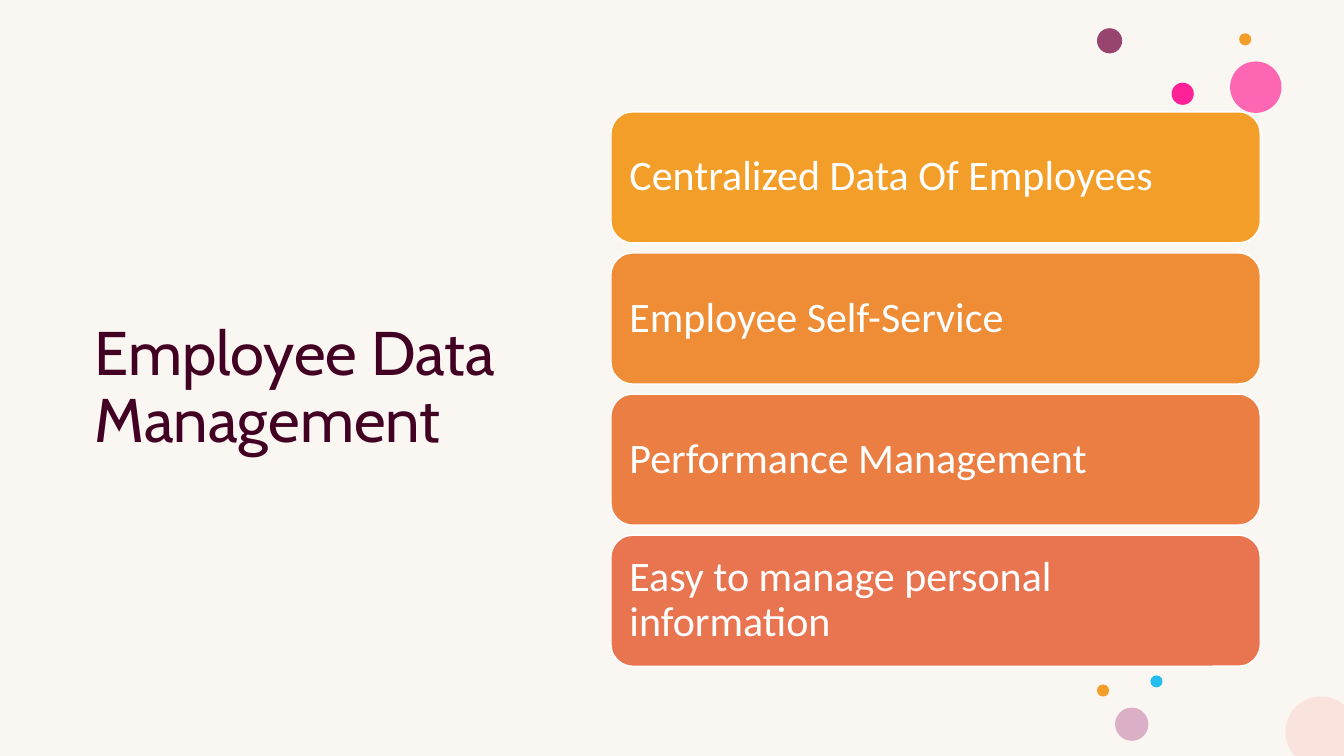
import math
from dataclasses import dataclass

import pptx
import pptx.dml.color
import pptx.enum.shapes
import pptx.enum.text
import pptx.oxml
import pptx.oxml.ns
import pptx.util
from pptx.util import Inches

SLIDE_WIDTH, SLIDE_HEIGHT = 13.33, 7.5
BAR_LEFT, BAR_TOP, BAR_WIDTH, BAR_HEIGHT, BAR_PITCH = 6.06, 1.11, 6.44, 1.3, 1.4


@dataclass(frozen=True)
class Dot:
    left: float
    top: float
    diameter: float
    color: str
    opacity: int = 100


@dataclass(frozen=True)
class Benefit:
    label: str
    color: str


DOTS = [
    Dot(10.88, 0.28, 0.25, "97446E"),
    Dot(12.2, 0.61, 0.51, "FF2F9C", 72),
    Dot(12.29, 0.33, 0.12, "F39E29"),
    Dot(11.62, 0.82, 0.22, "FF2197"),
    Dot(11.41, 6.7, 0.12, "24BEEE"),
    Dot(11.06, 7.02, 0.33, "DBAFC5"),
    Dot(10.88, 6.79, 0.12, "F39E29"),
]

BENEFITS = [
    Benefit("Centralized Data Of Employees", "F39E29"),
    Benefit("Employee Self-Service", "EF8C36"),
    Benefit("Performance Management", "EB7E43"),
    Benefit("Easy to manage personal information", "E87450"),
]


def paint(fill, color: str) -> None:
    fill.solid()
    fill.fore_color.rgb = pptx.dml.color.RGBColor.from_string(color)


def write(frame, text: str, font_name: str, size: float, color: str) -> None:
    frame.word_wrap = True
    frame.vertical_anchor = pptx.enum.text.MSO_ANCHOR.MIDDLE
    paragraph = frame.paragraphs[0]
    paragraph.text = text
    paragraph.alignment = pptx.enum.text.PP_ALIGN.LEFT
    paragraph.line_spacing = 0.9
    paragraph.font.name = font_name
    paragraph.font.size = pptx.util.Pt(size)
    paint(paragraph.font.fill, color)


def draw_title(slide) -> None:
    title = slide.shapes.add_textbox(Inches(0.84), Inches(1.04), Inches(5.04), Inches(5.64))
    write(title.text_frame, "Employee Data Management", "Cabin", 44, "420023")


def draw_dot(slide, dot: Dot) -> None:
    circle = slide.shapes.add_shape(
        pptx.enum.shapes.MSO_SHAPE.OVAL,
        Inches(dot.left), Inches(dot.top), Inches(dot.diameter), Inches(dot.diameter),
    )
    circle.shadow.inherit = False
    circle.line.fill.background()
    paint(circle.fill, dot.color)
    if dot.opacity < 100:
        color_element = circle.fill._xPr.find(".//" + pptx.oxml.ns.qn("a:srgbClr"))
        alpha = pptx.oxml.parse_xml(
            f'<a:alpha {pptx.oxml.ns.nsdecls("a")} val="{dot.opacity * 1000}"/>'
        )
        color_element.append(alpha)


def draw_corner_dot(slide, center_x: float, center_y: float, radius: float, color: str) -> None:
    start = math.pi - math.asin((SLIDE_HEIGHT - center_y) / radius)
    end = 2 * math.pi - math.acos((SLIDE_WIDTH - center_x) / radius)
    steps = 60
    angles = [start + (end - start) * step / steps for step in range(steps + 1)]
    arc = [
        (Inches(center_x + radius * math.cos(angle)), Inches(center_y + radius * math.sin(angle)))
        for angle in angles
    ]
    builder = slide.shapes.build_freeform(*arc[0])
    builder.add_line_segments(arc[1:] + [(Inches(SLIDE_WIDTH), Inches(SLIDE_HEIGHT))], close=True)
    corner = builder.convert_to_shape()
    corner.shadow.inherit = False
    corner.line.fill.background()
    paint(corner.fill, color)


def draw_benefit(slide, row: int, benefit: Benefit) -> None:
    bar = slide.shapes.add_shape(
        pptx.enum.shapes.MSO_SHAPE.ROUNDED_RECTANGLE,
        Inches(BAR_LEFT), Inches(BAR_TOP + row * BAR_PITCH), Inches(BAR_WIDTH), Inches(BAR_HEIGHT),
    )
    bar.shadow.inherit = False
    paint(bar.fill, benefit.color)
    paint(bar.line.fill, "FFFFFF")
    bar.line.width = pptx.util.Pt(1)
    frame = bar.text_frame
    frame.margin_left = frame.margin_right = Inches(0.12)
    frame.margin_top = frame.margin_bottom = Inches(0.12)
    write(frame, benefit.label, "Calibri", 30, "FFFFFF")


def main() -> None:
    deck = pptx.Presentation()
    deck.slide_width = Inches(SLIDE_WIDTH)
    deck.slide_height = Inches(SLIDE_HEIGHT)
    slide = deck.slides.add_slide(deck.slide_layouts[6])
    paint(slide.background.fill, "FAF6F2")
    draw_title(slide)
    for dot in DOTS:
        draw_dot(slide, dot)
    draw_corner_dot(slide, 13.1, 7.26, 0.35, "FAE3DC")
    for row, benefit in enumerate(BENEFITS):
        draw_benefit(slide, row, benefit)
    deck.save("out.pptx")


if __name__ == "__main__":
    main()
